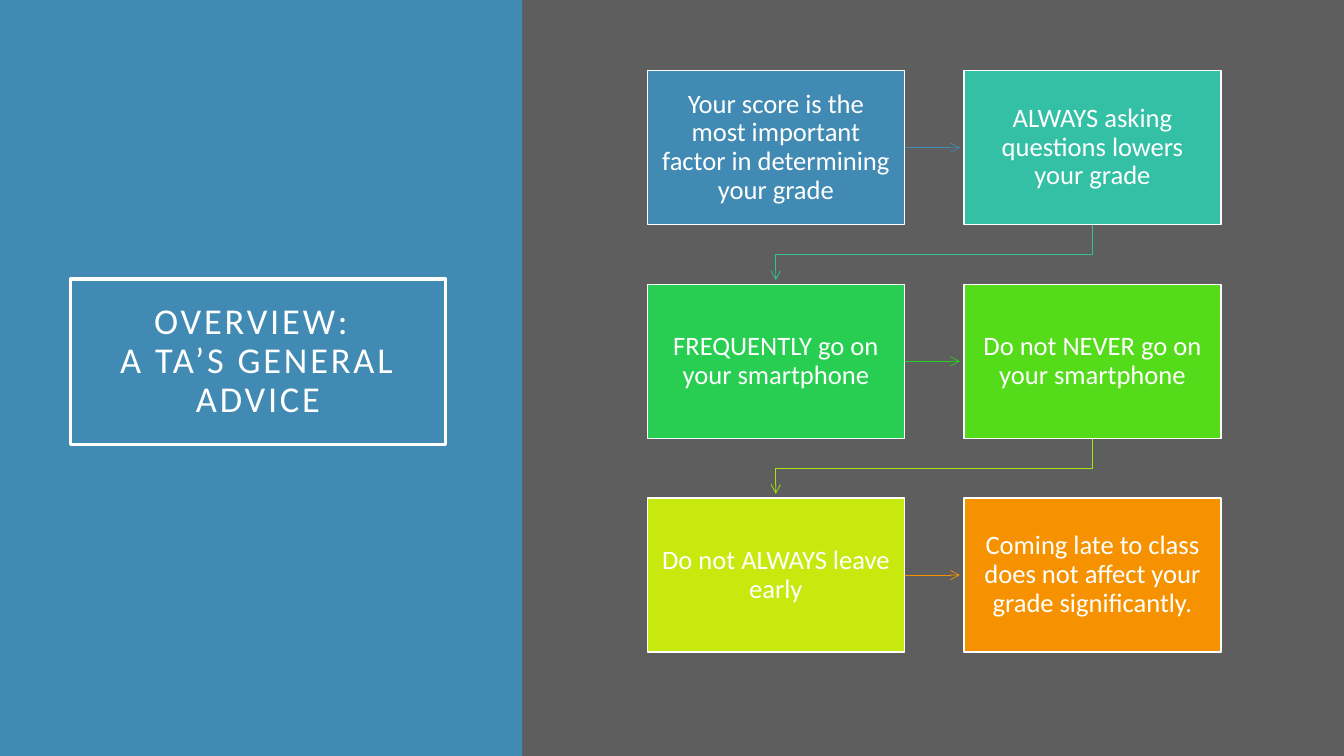
from lxml.etree import SubElement
from pptx import Presentation
from pptx.dml.color import RGBColor
from pptx.enum.shapes import MSO_CONNECTOR as Connector, MSO_SHAPE as Shape
from pptx.enum.text import MSO_ANCHOR as Anchor, MSO_AUTO_SIZE as AutoSize, PP_ALIGN as Align
from pptx.oxml.ns import qn
from pptx.util import Inches, Pt

WHITE, BLUE, GRAY = "FFFFFF", "418AB3", "5E5E5E"

# Advice in reading order: text, box fill, colour of the arrow to the next box
ADVICE = [
    ("Your score is the most important factor in determining your grade", BLUE, BLUE),
    ("ALWAYS asking questions lowers your grade", "34C0A5", "31C493"),
    ("FREQUENTLY go on your smartphone", "27CE51", "25D421"),
    ("Do not NEVER go on your smartphone", "54DB1A", "A8E510"),
    ("Do not ALWAYS leave early", "C8E90D", "F69200"),
    ("Coming late to class does not affect your grade significantly.", "F69200", None),
]


def color(code):
    return RGBColor.from_string(code)


class AdviceSlide:
    font = "Calibri"
    columns = 2
    left, top = 6.42, 0.7
    box_width, box_height = 2.55, 1.53
    column_step, row_step = 3.14, 2.12
    arrow_gap = 0.04

    def __init__(self, deck):
        self.page = deck.slides.add_slide(deck.slide_layouts[5])
        self.page.background.fill.solid()
        self.page.background.fill.fore_color.rgb = color(GRAY)

    def corner(self, index):
        row, column = divmod(index, self.columns)
        return self.left + column * self.column_step, self.top + row * self.row_step

    def set_text(self, shape, text, size, inset):
        frame = shape.text_frame
        frame.text = text
        frame.word_wrap = True
        frame.auto_size = AutoSize.NONE
        frame.vertical_anchor = Anchor.MIDDLE
        frame.margin_left = frame.margin_right = Inches(inset)
        frame.margin_top = frame.margin_bottom = Inches(inset)
        para = frame.paragraphs[0]
        para.alignment = Align.CENTER
        para.line_spacing = 0.9
        para.font.name = self.font
        para.font.size = Pt(size)
        para.font.color.rgb = color(WHITE)

    def outline(self, shape, code, width):
        shape.line.color.rgb = color(code)
        shape.line.width = Pt(width)

    def rectangle(self, left, top, width, height, fill):
        box = self.page.shapes.add_shape(
            Shape.RECTANGLE, Inches(left), Inches(top), Inches(width), Inches(height))
        box.shadow.inherit = False
        box.fill.solid()
        box.fill.fore_color.rgb = color(fill)
        box.line.fill.background()
        return box

    def panel(self, left, width, fill):
        panel = self.rectangle(left, 0, width, 7.5, fill)
        self.page.shapes.title.element.addprevious(panel.element)

    def title(self, text, left, top, width, height):
        title = self.page.shapes.title
        title.left, title.top = Inches(left), Inches(top)
        title.width, title.height = Inches(width), Inches(height)
        self.outline(title, WHITE, 2.5)
        self.set_text(title, text, 26, 0.2)
        # Letter spacing of two points
        for properties in title.element.iter(qn("a:defRPr")):
            properties.set("spc", "200")
        for span in title.element.iter(qn("a:r")):
            span.get_or_add_rPr().set("spc", "200")

    def advice_box(self, index, text, fill):
        box = self.rectangle(*self.corner(index), self.box_width, self.box_height, fill)
        self.outline(box, WHITE, 1)
        self.set_text(box, text, 19, 0.13)

    def arrow(self, index, code):
        left, top = self.corner(index)
        next_left, next_top = self.corner(index + 1)
        if next_top == top:
            # Straight across to the box on the right
            middle = Inches(top + self.box_height / 2)
            line = self.page.shapes.add_connector(
                Connector.STRAIGHT, Inches(left + self.box_width), middle,
                Inches(next_left - self.arrow_gap), middle)
        else:
            # Down, back and down to the first box of the next row
            start_x = Inches(left + self.box_width / 2)
            end_x = Inches(next_left + self.box_width / 2)
            bottom = top + self.box_height
            turn = Inches((bottom + next_top) / 2)
            builder = self.page.shapes.build_freeform(start_x, Inches(bottom))
            builder.add_line_segments(
                [(start_x, turn), (end_x, turn), (end_x, Inches(next_top - self.arrow_gap))],
                close=False)
            line = builder.convert_to_shape()
            line.fill.background()
        self.outline(line, code, 0.5)
        properties = line.element.spPr
        SubElement(properties.find(qn("a:ln")), qn("a:tailEnd"), type="arrow")
        SubElement(properties, qn("a:effectLst"))


def main():
    deck = Presentation()
    deck.slide_width, deck.slide_height = Inches(13.33), Inches(7.5)
    slide = AdviceSlide(deck)

    # Left title panel and right content panel
    slide.panel(0, 5.18, BLUE)
    slide.panel(5.2, 8.13, GRAY)
    slide.title("OVERVIEW: \vA TA’S GENERAL ADVICE", 0.7, 2.77, 3.72, 1.64)

    # Chain of advice boxes
    for index, (text, fill, arrow_color) in enumerate(ADVICE):
        if arrow_color:
            slide.arrow(index, arrow_color)
        slide.advice_box(index, text, fill)

    deck.save("out.pptx")


if __name__ == "__main__":
    main()
